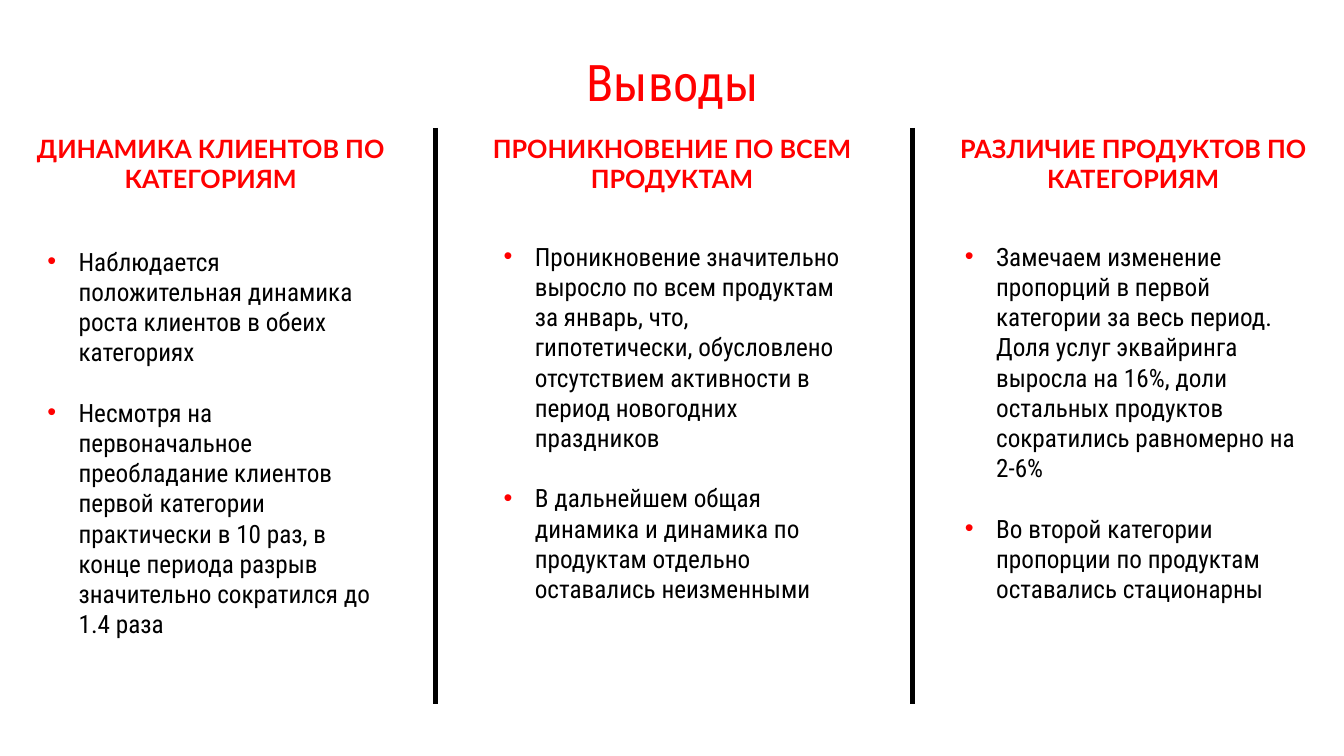
from lxml import etree
from pptx import Presentation
from pptx.dml.color import RGBColor
from pptx.enum.shapes import MSO_CONNECTOR
from pptx.enum.text import MSO_ANCHOR, MSO_AUTO_SIZE, PP_ALIGN
from pptx.oxml.ns import qn
from pptx.util import Inches, Pt

LINE = MSO_CONNECTOR.STRAIGHT
TOP, MIDDLE = MSO_ANCHOR.TOP, MSO_ANCHOR.MIDDLE
FIXED = MSO_AUTO_SIZE.NONE
LEFT, CENTER = PP_ALIGN.LEFT, PP_ALIGN.CENTER

THEME = {
    "accent": "FF0000", "ink": "000000",
    "body": "Roboto Condensed", "head": "Lato",
    "title": 36, "text": 18, "gap": 21.5, "rule": 3.75,
}

# Column grid, in inches
START, STEP = 0.07, 4.575
TOP_Y, END_Y = 1.27, 6.98
HEAD_W, HEAD_H = 4.04, 0.71
LIST_W, LIST_H = 3.58, 2.83
HANG = 0.31
RULES = (4.32, 9.05)

# Heading, list inset, list top, points
COLUMNS = [
    ("ДИНАМИКА КЛИЕНТОВ ПО КАТЕГОРИЯМ", 0.3, 2.39, [
        "Наблюдается положительная динамика роста клиентов в обеих категориях",
        "Несмотря на первоначальное преобладание клиентов первой категории "
        "практически в 10 раз, в конце периода разрыв значительно "
        "сократился до 1.4 раза",
    ]),
    ("ПРОНИКНОВЕНИЕ ПО ВСЕМ ПРОДУКТАМ", 0.25, 2.34, [
        "Проникновение значительно выросло по всем продуктам за январь, что, "
        "гипотетически, обусловлено отсутствием активности в период "
        "новогодних праздников",
        "В дальнейшем общая динамика и динамика по продуктам отдельно "
        "оставались неизменными",
    ]),
    ("РАЗЛИЧИЕ ПРОДУКТОВ ПО КАТЕГОРИЯМ", 0.25, 2.34, [
        "Замечаем изменение пропорций в первой категории за весь период. "
        "Доля услуг эквайринга выросла на 16%, доли остальных продуктов "
        "сократились равномерно на 2-6%",
        "Во второй категории пропорции по продуктам оставались стационарны",
    ]),
]


def fill(shape, box, lines, face, size, color, align, bold=False, anchor=TOP):
    """Place a text shape and set its paragraphs."""
    shape.left, shape.top, shape.width, shape.height = map(Inches, box)
    frame = shape.text_frame
    frame.text = "\n".join(lines)
    frame.word_wrap = True
    frame.auto_size = FIXED
    frame.vertical_anchor = anchor
    for para in frame.paragraphs:
        para.alignment = align
        para.space_before = Pt(0)
        font = para.font
        font.name, font.size, font.bold = THEME[face], Pt(THEME[size]), bold
        font.color.rgb = RGBColor.from_string(THEME[color])
    return frame.paragraphs


def bullet(para):
    """Give a paragraph a coloured bullet and a hanging indent."""
    props = para._p.get_or_add_pPr()
    props.set("marL", str(Inches(HANG)))
    props.set("indent", str(-Inches(HANG)))
    tint = etree.SubElement(props, qn("a:buClr"))
    etree.SubElement(tint, qn("a:srgbClr"), val=THEME["accent"])
    etree.SubElement(props, qn("a:buFont"), typeface="Arial")
    etree.SubElement(props, qn("a:buChar"), char="•")
    # Keep the text defaults after the bullet, as the schema asks
    props.append(props.find(qn("a:defRPr")))


deck = Presentation()
deck.slide_width, deck.slide_height = Inches(13.33), Inches(7.5)
slide = deck.slides.add_slide(deck.slide_layouts.get_by_name("Comparison"))
title, *bodies, spare = slide.placeholders
spare.element.getparent().remove(spare.element)

# Title
for para in fill(title, (2.71, 0.43, 7.92, 0.84), ["Выводы"],
                 "body", "title", "accent", CENTER, anchor=MIDDLE):
    para.line_spacing = 0.9

# Rules between columns
for x in RULES:
    rule = slide.shapes.add_connector(
        LINE, Inches(x), Inches(TOP_Y), Inches(x), Inches(END_Y))
    rule.line.color.rgb = RGBColor.from_string(THEME["ink"])
    rule.line.width = Pt(THEME["rule"])
    etree.SubElement(rule._element.spPr, qn("a:effectLst"))

# Headings and lists
for col, (head, inset, top, points) in enumerate(COLUMNS):
    left = START + col * STEP
    label = slide.shapes.add_textbox(0, 0, 0, 0)
    fill(label, (left, TOP_Y, HEAD_W, HEAD_H), [head],
         "head", "text", "accent", CENTER, bold=True)

    paras = fill(bodies[col], (left + inset, top, LIST_W, LIST_H), points,
                 "body", "text", "ink", LEFT)
    for para in paras:
        bullet(para)
    for para in paras[1:]:
        para.space_before = Pt(THEME["gap"])

deck.save("out.pptx")
